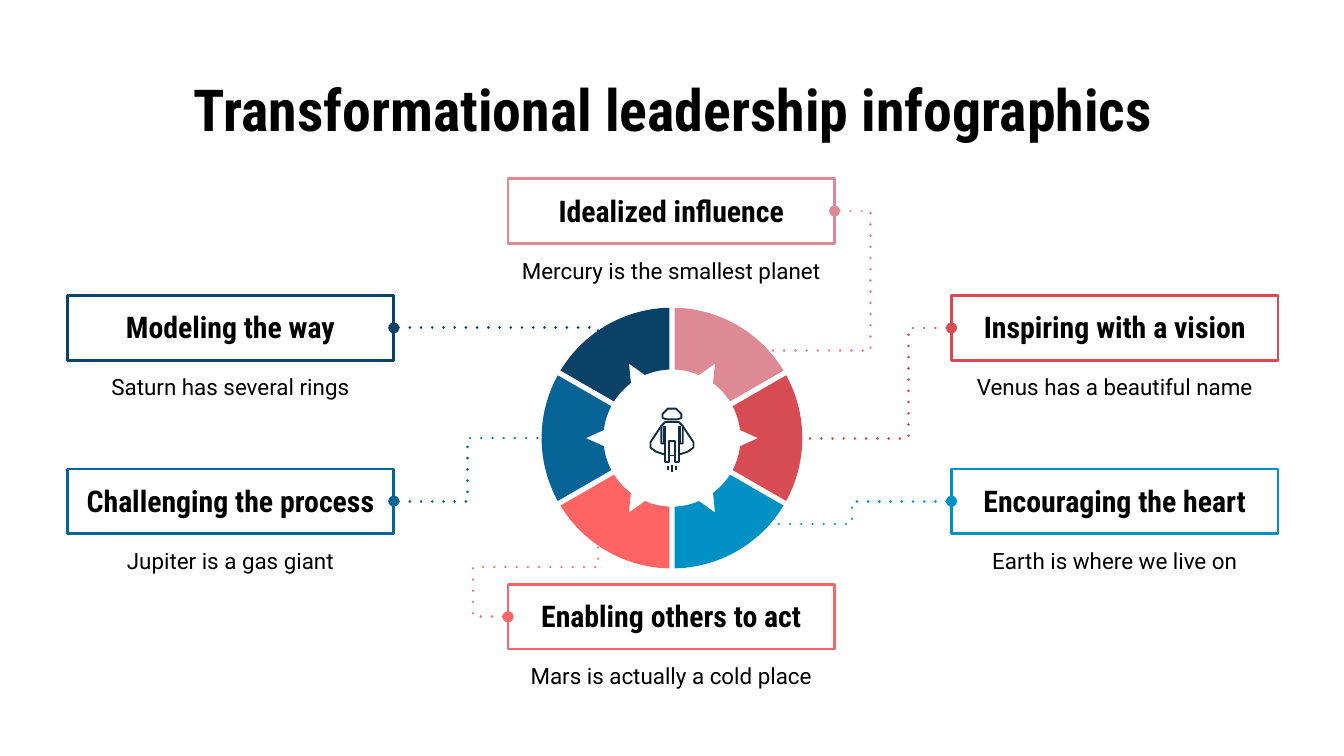
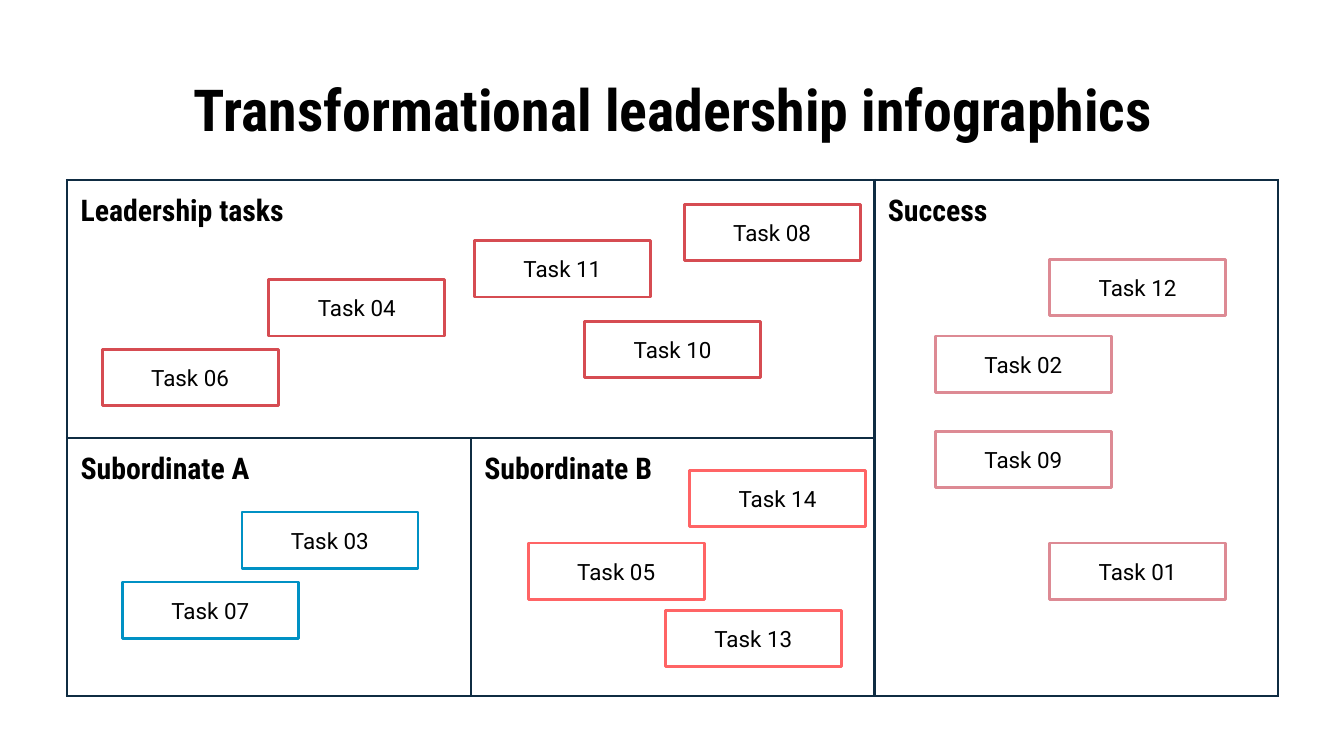
import math
from dataclasses import dataclass

from lxml import etree
from pptx import Presentation
from pptx.dml.color import RGBColor
from pptx.enum import shapes, text
from pptx.oxml import ns
from pptx.util import Inches, Pt


@dataclass(frozen=True)
class Theme:
    white: str = "FFFFFF"
    black: str = "000000"
    ink: str = "0F2C42"
    navy: str = "0A4167"
    blue: str = "066396"
    sky: str = "0091C4"
    coral: str = "FF6465"
    red: str = "D64C52"
    pink: str = "DD8A94"
    head_font: str = "Roboto Condensed"
    body_font: str = "Roboto"
    title_size: int = 31
    head_size: int = 16
    body_size: int = 12
    line: float = 1.5


THEME = Theme()
TITLE = "Transformational leadership infographics"
TITLE_FONT = {"name": THEME.head_font, "size": Pt(THEME.title_size), "bold": True}
HEAD_FONT = {"name": THEME.head_font, "size": Pt(THEME.head_size), "bold": True}
BODY_FONT = {"name": THEME.body_font, "size": Pt(THEME.body_size), "bold": False}
LEFT, CENTER = text.PP_ALIGN.LEFT, text.PP_ALIGN.CENTER
TOP, MIDDLE = text.MSO_ANCHOR.TOP, text.MSO_ANCHOR.MIDDLE
INSETS = {f"margin_{side}": Inches(0.1) for side in ("left", "right", "top", "bottom")}

# Leadership wheel
HUB = (5, 3.26)
OUTER, INNER, NOTCH = 0.97, 0.51, 0.64
HALF_GAP = 0.02
NOTCH_ANGLE = math.radians(6.8)
CARD_WIDTH, CARD_HEIGHT, CAPTION_HEIGHT = 2.43, 0.48, 0.35

# Heading, caption, colour, card corner, wheel angle, card side (1 = right),
# elbow kind, wheel end of the connector, x of its bend, y of its second bend
PRACTICES = [
    ("Modeling the way", "Saturn has several rings", THEME.navy,
     (0.5, 2.2), 240, 1, "bentConnector2", (4.45, 2.48), None, None),
    ("Idealized influence", "Mercury is the smallest planet", THEME.pink,
     (3.78, 1.33), 300, 1, "bentConnector3", (5.6, 2.61), 6.48, None),
    ("Enabling others to act", "Mars is actually a cold place", THEME.coral,
     (3.78, 4.35), 120, 0, "bentConnector4", (4.45, 4.03), 3.52, 4.22),
    ("Encouraging the heart", "Earth is where we live on", THEME.sky,
     (7.08, 3.49), 60, 0, "bentConnector3", (5.6, 3.9), 6.34, None),
    ("Inspiring with a vision", "Venus has a beautiful name", THEME.red,
     (7.08, 2.2), 0, 0, "bentConnector3", (5.97, 3.26), 6.76, None),
    ("Challenging the process", "Jupiter is a gas giant", THEME.blue,
     (0.5, 3.49), 180, 1, "bentConnector3", (4.02, 3.26), 3.48, None),
]

# Icon strokes as offsets from the middle axis; each is also mirrored
ICON_STROKES = [
    [(0, 3.04), (0.03, 3.04), (0.07, 3.08), (0.07, 3.11), (0.04, 3.12), (0, 3.12)],
    [(0, 3.14), (0.05, 3.14), (0.08, 3.17), (0.08, 3.3), (0.06, 3.3), (0.06, 3.17)],
    [(0.05, 3.17), (0.05, 3.44), (0.02, 3.44), (0.02, 3.28), (0, 3.28)],
    [(0.08, 3.17), (0.16, 3.29), (0.16, 3.33), (0.12, 3.36), (0.06, 3.38)],
    [(0, 3.39), (0.02, 3.39)],
    [(0.03, 3.47), (0.03, 3.5)],
    [(0, 3.46), (0, 3.51)],
]

# Task board
TASK_SIZE = (1.31, 0.42)
TASKS = {
    THEME.red: {"04": (2, 2.08), "11": (3.53, 1.79), "10": (4.35, 2.39),
                "06": (0.76, 2.6), "08": (5.09, 1.52)},
    THEME.coral: {"05": (3.93, 4.04), "14": (5.13, 3.5), "13": (4.95, 4.54)},
    THEME.pink: {"12": (7.81, 1.93), "09": (6.96, 3.21), "01": (7.81, 4.04),
                 "02": (6.96, 2.5)},
    THEME.sky: {"07": (0.91, 4.33), "03": (1.8, 3.81)},
}


def color(value):
    return RGBColor.from_string(value)


def apply(target, values):
    for name, value in values.items():
        setattr(target, name, value)


def add_xml(parent, tag, **attributes):
    return etree.SubElement(parent, ns.qn(tag), attributes)


def write(frame, words, font, align=CENTER):
    """Fill a text frame with one formatted paragraph."""
    para = frame.paragraphs[0]
    para.alignment = align
    span = para.add_run()
    span.text = words
    apply(span.font, font)
    span.font.color.rgb = color(THEME.black)


def write_box(shape, words, font, anchor=TOP):
    apply(shape.text_frame, {"word_wrap": True, "vertical_anchor": anchor,
                             "auto_size": text.MSO_AUTO_SIZE.NONE, **INSETS})
    write(shape.text_frame, words, font)


def paint(shape, fill=None, line=None, width=THEME.line):
    shape.shadow.inherit = False
    for part, value in ((shape.fill, fill), (shape.line.fill, line)):
        if value:
            part.solid()
            part.fore_color.rgb = color(value)
        else:
            part.background()
    if line:
        shape.line.width = Pt(width)


def add_page(deck):
    page = deck.slides.add_slide(deck.slide_layouts[5])
    title = page.shapes.title
    apply(title, {"left": Inches(0.5), "top": Inches(0.45),
                  "width": Inches(9.01), "height": Inches(0.62)})
    write_box(title, TITLE, TITLE_FONT)
    return page


def add_box(page, place, words, font, line, fill=None, anchor=TOP):
    box = page.shapes.add_shape(shapes.MSO_SHAPE.RECTANGLE, *map(Inches, place))
    paint(box, fill, line)
    write_box(box, words, font, anchor)


def add_caption(page, place, words):
    write_box(page.shapes.add_textbox(*map(Inches, place)), words, BODY_FONT)


def add_outline(page, points, closed=True, **look):
    spots = [(Inches(x), Inches(y)) for x, y in points]
    builder = page.shapes.build_freeform(*spots[0], scale=1.0)
    builder.add_line_segments(spots[1:], close=closed)
    paint(builder.convert_to_shape(), **look)


def arc(radius, start, end, steps=24):
    """Points on a circle around the hub, angles in radians."""
    angles = [start + (end - start) * step / steps for step in range(steps + 1)]
    return [(HUB[0] + radius * math.cos(a), HUB[1] + radius * math.sin(a))
            for a in angles]


def add_segment(page, degrees, fill):
    """A sixth of the wheel, with a notch cut into its inner edge."""
    middle, half = math.radians(degrees), math.pi / 6
    outer = half - math.asin(HALF_GAP / OUTER)
    inner = half - math.asin(HALF_GAP / INNER)
    points = arc(OUTER, middle - outer, middle + outer)
    points += arc(INNER, middle + inner, middle + NOTCH_ANGLE)
    points += arc(NOTCH, middle, middle, 1)[:1]
    points += arc(INNER, middle - NOTCH_ANGLE, middle - inner)
    add_outline(page, points, fill=fill)


def add_elbow(page, kind, start, end, bend_x, bend_y, line):
    """Dotted elbow with a round end at its start."""
    elbow = page.shapes.add_connector(
        shapes.MSO_CONNECTOR.ELBOW, *map(Inches, (*start, *end)))
    elbow.line.color.rgb = color(line)
    elbow.line.width = Pt(THEME.line)
    properties = elbow._element.spPr
    stroke = properties.find(ns.qn("a:ln"))
    stroke.set("cap", "rnd")
    add_xml(stroke, "a:prstDash", val="dot")
    add_xml(stroke, "a:round")
    add_xml(stroke, "a:headEnd", type="oval")
    add_xml(properties, "a:effectLst")

    geometry = properties.find(ns.qn("a:prstGeom"))
    geometry.set("prst", kind)
    guides = geometry.find(ns.qn("a:avLst"))
    if guides is None:
        guides = add_xml(geometry, "a:avLst")
    for axis, bend in enumerate((bend_x, bend_y)):
        if bend is not None:
            share = (bend - start[axis]) / (end[axis] - start[axis])
            add_xml(guides, "a:gd", name=f"adj{axis + 1}",
                    fmla=f"val {round(share * 100000)}")


def add_icon(page):
    for stroke in ICON_STROKES:
        for side in (-1, 1):
            points = [(HUB[0] + side * x, y) for x, y in stroke]
            add_outline(page, points, closed=False, line=THEME.ink, width=1)


def add_board(page):
    """Task board: a wide top area, two below it and a tall one at the right."""
    frame = page.shapes.add_table(2, 3, *map(Inches, (0.5, 1.34, 9.01, 3.84)))
    table = frame.table
    table.first_row = table.horz_banding = False
    for cell in table.iter_cells():
        cell.fill.background()
        properties = cell._tc.get_or_add_tcPr()
        for index, edge in enumerate(("a:lnL", "a:lnR", "a:lnT", "a:lnB")):
            border = add_xml(properties, edge, w=str(Pt(THEME.line)))
            add_xml(add_xml(border, "a:solidFill"), "a:srgbClr", val=THEME.ink)
            properties.insert(index, border)
    table.cell(0, 0).merge(table.cell(0, 1))
    table.cell(0, 2).merge(table.cell(1, 2))
    areas = {(0, 0): "Leadership tasks", (0, 2): "Success",
             (1, 0): "Subordinate A", (1, 1): "Subordinate B"}
    for spot, words in areas.items():
        cell = table.cell(*spot)
        apply(cell, {"vertical_anchor": TOP, **INSETS})
        write(cell.text_frame, words, HEAD_FONT, LEFT)


def build_wheel(deck):
    page = add_page(deck)
    # Cards and wheel segments
    for heading, caption, tint, (left, top), degrees, *_ in PRACTICES:
        add_caption(page, (left, top + CARD_HEIGHT, CARD_WIDTH, CAPTION_HEIGHT), caption)
        add_box(page, (left, top, CARD_WIDTH, CARD_HEIGHT), heading, HEAD_FONT, tint)
        add_segment(page, degrees, tint)
    # Connectors from card to wheel
    for _, _, tint, (left, top), _, side, kind, end, bend_x, bend_y in PRACTICES:
        start = (left + side * CARD_WIDTH, top + CARD_HEIGHT / 2)
        add_elbow(page, kind, start, end, bend_x, bend_y, tint)
    add_icon(page)


def build_tasks(deck):
    page = add_page(deck)
    add_board(page)
    for tint, tasks in TASKS.items():
        for number, corner in tasks.items():
            add_box(page, (*corner, *TASK_SIZE), f"Task {number}", BODY_FONT,
                    tint, THEME.white, MIDDLE)


def main():
    deck = Presentation()
    # Widescreen, 16:9
    deck.slide_width = Inches(10)
    deck.slide_height = deck.slide_width * 9 // 16
    build_wheel(deck)
    build_tasks(deck)
    deck.save("out.pptx")


if __name__ == "__main__":
    main()
